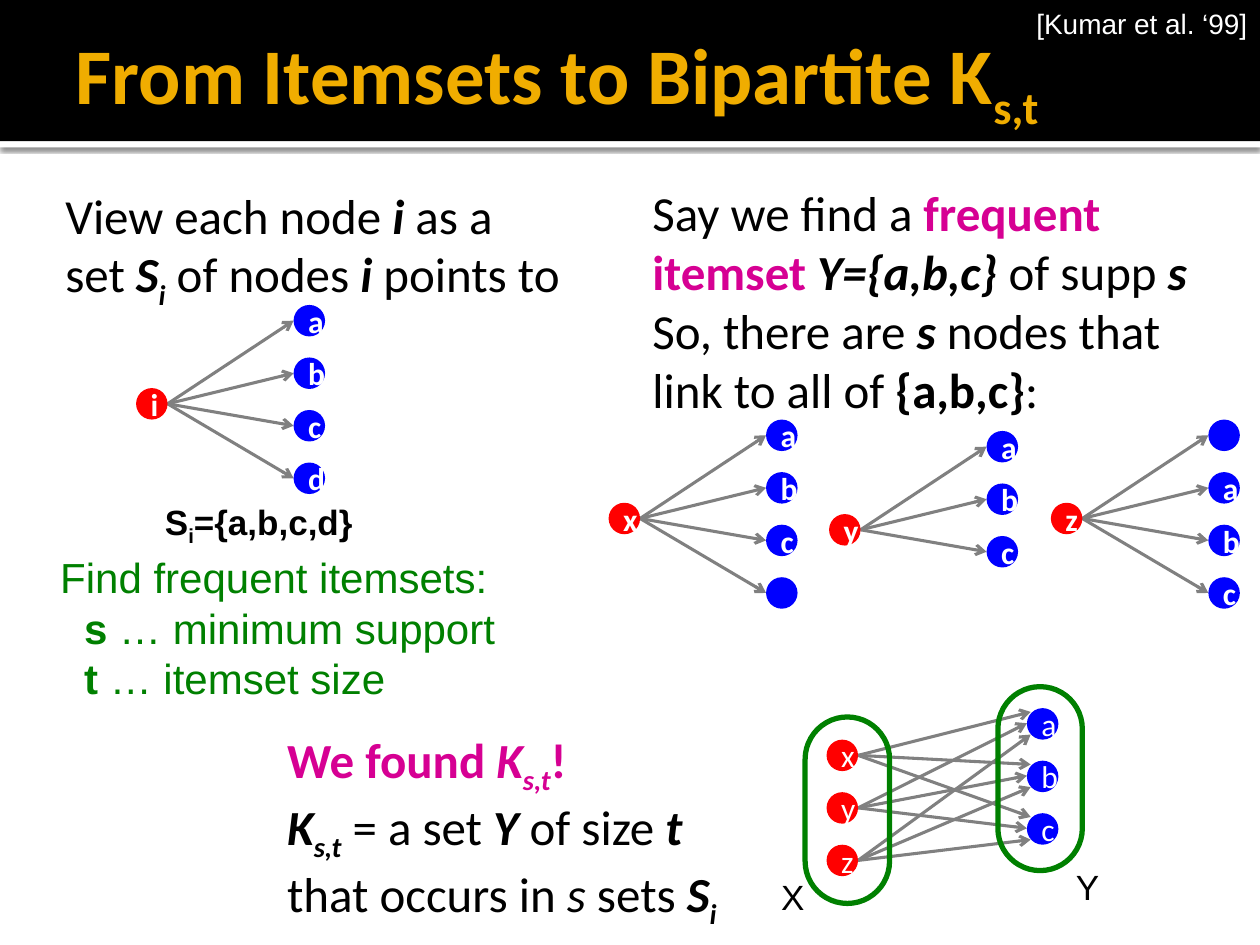
from lxml import etree
from pptx import Presentation
from pptx import util as u
from pptx.dml.color import RGBColor
from pptx.enum import shapes, text
from pptx.oxml import ns

COLORS = {
    "black": "000000", "white": "FFFFFF", "gold": "F0AD00", "gray": "808080",
    "red": "FF0000", "blue": "0000FF", "green": "008000", "pink": "D60093",
}
NODE = 0.25
STEP = 0.417
FAN_WIDTH = 1.25
SOURCE_DROP = 0.66


def color(name):
    return RGBColor.from_string(COLORS[name])


def add_xml(parent, tag, **attributes):
    return etree.SubElement(parent, ns.qn(tag), attributes)


def fill_para(para, spans, font, size, tint):
    para.font.name = font
    para.font.size = u.Pt(size)
    para.font.color.rgb = color(tint)
    for words, style, *own_tint in spans:
        if words == "\n":
            para.add_line_break()
            continue
        span = para.add_run()
        span.text = words
        if "b" in style:
            span.font.bold = True
        if "i" in style:
            span.font.italic = True
        if "_" in style:
            span._r.get_or_add_rPr().set("baseline", "-25000")
        if own_tint:
            span.font.color.rgb = color(own_tint[0])


def add_text(page, box, paras, font, size, tint="black", wrap=False,
             align=text.PP_ALIGN.LEFT, indent=0):
    frame = page.shapes.add_textbox(*map(u.Inches, box)).text_frame
    frame.word_wrap = wrap
    frame.auto_size = text.MSO_AUTO_SIZE.SHAPE_TO_FIT_TEXT
    for index, spans in enumerate(paras):
        para = frame.add_paragraph() if index else frame.paragraphs[0]
        para.alignment = align
        if index and indent:
            para._p.get_or_add_pPr().set("marL", str(u.Inches(indent)))
        fill_para(para, spans, font, size, tint)


def add_band(page, box, tint):
    band = page.shapes.add_shape(shapes.MSO_SHAPE.RECTANGLE, *map(u.Inches, box))
    band.shadow.inherit = False
    band.fill.solid()
    band.fill.fore_color.rgb = color(tint)
    band.line.fill.background()
    return band


def add_header(page):
    stripe = add_band(page, (0, 1.12, 10, 0.05), "white")
    effects = stripe._element.spPr.find(ns.qn("a:effectLst"))
    shadow = add_xml(effects, "a:outerShdw", blurRad=str(u.Pt(2.5)),
                     dist=str(u.Pt(0.8)), dir="5400000", rotWithShape="0")
    tone = add_xml(shadow, "a:srgbClr", val=COLORS["black"])
    add_xml(tone, "a:alpha", val="60000")
    add_band(page, (0, 0, 10, 1.12), "black")

    title = page.shapes.title
    page.shapes._spTree.append(title._element)
    title.left, title.top, title.width, title.height = map(u.Inches, (0.5, 0.17, 9, 0.92))
    frame = title.text_frame
    frame.auto_size = text.MSO_AUTO_SIZE.NONE
    frame.vertical_anchor = text.MSO_ANCHOR.MIDDLE
    frame.margin_left = u.Inches(0.1)
    frame.margin_right = frame.margin_top = frame.margin_bottom = u.Inches(0.05)
    para = frame.paragraphs[0]
    para.alignment = text.PP_ALIGN.LEFT
    fill_para(para, [("From Itemsets to Bipartite K", "b"), ("s,t", "b_")], "Calibri", 45, "gold")
    add_text(page, (8.1, 0, 1.9, 0.37), [[("[Kumar et al. ‘99]", "")]], "Arial", 16,
             "white", align=text.PP_ALIGN.RIGHT)


def add_arrow(group, start, end):
    arrow = group.shapes.add_connector(shapes.MSO_CONNECTOR.STRAIGHT,
                                       *map(u.Inches, (*start, *end)))
    arrow.line.color.rgb = color("gray")
    arrow.line.width = u.Pt(1.75)
    add_xml(arrow.line._get_or_add_ln(), "a:tailEnd", type="arrow")
    add_xml(arrow._element.spPr, "a:effectLst")


def add_node(group, left, top, label, tint, style):
    node = group.shapes.add_shape(shapes.MSO_SHAPE.OVAL,
                                  *map(u.Inches, (left, top, NODE, NODE)))
    node.shadow.inherit = False
    node.fill.solid()
    node.fill.fore_color.rgb = color(tint)
    node.line.fill.background()
    if label:
        frame = node.text_frame
        frame.word_wrap = True
        frame.vertical_anchor = text.MSO_ANCHOR.MIDDLE
        para = frame.paragraphs[0]
        para.alignment = text.PP_ALIGN.CENTER
        fill_para(para, [(label, style)], "Calibri", 18, "white")


def add_fan(page, left, top, source, targets):
    group = page.shapes.add_group_shape()
    source_top = top + SOURCE_DROP
    start = (left + NODE, source_top + NODE / 2)
    rows = [top + STEP * row for row in range(len(targets))]
    for row in rows:
        add_arrow(group, start, (left + FAN_WIDTH, row + NODE / 2))
    add_node(group, left, source_top, source, "red", "b")
    for row, label in zip(rows, targets):
        add_node(group, left + FAN_WIDTH, row, label, "blue", "b")


def add_bipartite(page, left, top):
    group = page.shapes.add_group_shape()
    source_top, target_left = top + 0.25, left + 1.59
    arrow_ends = [(0.03, 0.03), (0, 0.12), (0.03, 0.21)]
    for source, (shift, drop) in enumerate(arrow_ends):
        start = (left + NODE, source_top + STEP * source + NODE / 2)
        for target in range(3):
            add_arrow(group, start, (target_left + shift, top + STEP * target + drop))
    for column, column_top, labels, tint in [(left, source_top, "xyz", "red"),
                                             (target_left, top, "abc", "blue")]:
        for row, label in enumerate(labels):
            add_node(group, column, column_top + STEP * row, label, tint, "")
    for box in [(left - 0.17, top + 0.07, 0.67, 1.48), (left + 1.36, top - 0.17, 0.67, 1.46)]:
        ring = page.shapes.add_shape(shapes.MSO_SHAPE.ROUNDED_RECTANGLE, *map(u.Inches, box))
        ring.adjustments[0] = 0.5
        ring.shadow.inherit = False
        ring.fill.background()
        ring.line.color.rgb = color("green")
        ring.line.width = u.Pt(3)
    for label, shift, drop in [("X", -0.46, 1.28), ("Y", 1.88, 1.2)]:
        add_text(page, (left + shift, top + drop, 0.39, 0.44), [[(label, "")]], "Arial", 20)


def add_set_view(page):
    add_text(page, (0.42, 1.42, 4.16, 1.04), [[
        ("View each node ", ""), ("i", "bi"), (" as a", ""), ("\n", ""),
        ("set ", ""), ("S", "bi"), ("i", "bi_"), (" of nodes ", ""), ("i", "bi"),
        (" points to", "")]], "Calibri", 28)
    add_fan(page, 1.08, 2.42, "i", "abcd")
    add_text(page, (1.21, 3.92, 1.71, 0.44),
             [[("S", "b"), ("i", "b_"), ("={a,b,c,d}", "b")]], "Arial", 20)
    add_text(page, (0.38, 4.33, 3.66, 1.31), [
        [("Find frequent itemsets:", "")],
        [("s", "b"), (" … minimum support", "")],
        [("t", "b"), (" … itemset size", "")]], "Arial", 24, "green", indent=0.19)


def add_frequent_itemset(page):
    add_text(page, (5.08, 1.4, 4.76, 1.99), [[
        ("Say we find a ", ""), ("frequent itemset ", "b", "pink"), ("Y={a,b,c}", "bi"),
        (" of supp ", ""), ("s", "bi"), ("\n", ""), ("So, there are ", ""), ("s", "bi"),
        (" nodes that link to all of ", ""), ("{a,b,c}", "b"), (":", "")]],
        "Calibri", 28, wrap=True)
    add_fan(page, 4.83, 3.33, "x", ["a", "b", "c", ""])
    add_fan(page, 6.58, 3.42, "y", "abc")
    add_fan(page, 8.34, 3.33, "z", ["", "a", "b", "c"])


def add_conclusion(page):
    add_text(page, (2.18, 5.74, 3.65, 1.51), [
        [("We found ", "b", "pink"), ("K", "bi", "pink"), ("s,t", "bi_", "pink"),
         ("!", "b", "pink")],
        [("K", "bi"), ("s,t", "bi_"), (" = a set ", ""), ("Y", "bi"), (" of size ", ""),
         ("t", "bi"), ("\n", ""), ("that occurs in ", ""), ("s", "i"), (" sets ", ""),
         ("S", "bi"), ("i", "bi_")]], "Calibri", 28)
    add_bipartite(page, 6.56, 5.62)


def main():
    deck = Presentation()
    deck.slide_width, deck.slide_height = u.Inches(10), u.Inches(7.5)
    page = deck.slides.add_slide(deck.slide_layouts[5])
    add_header(page)
    add_set_view(page)
    add_frequent_itemset(page)
    add_conclusion(page)
    deck.save("out.pptx")


if __name__ == "__main__":
    main()
